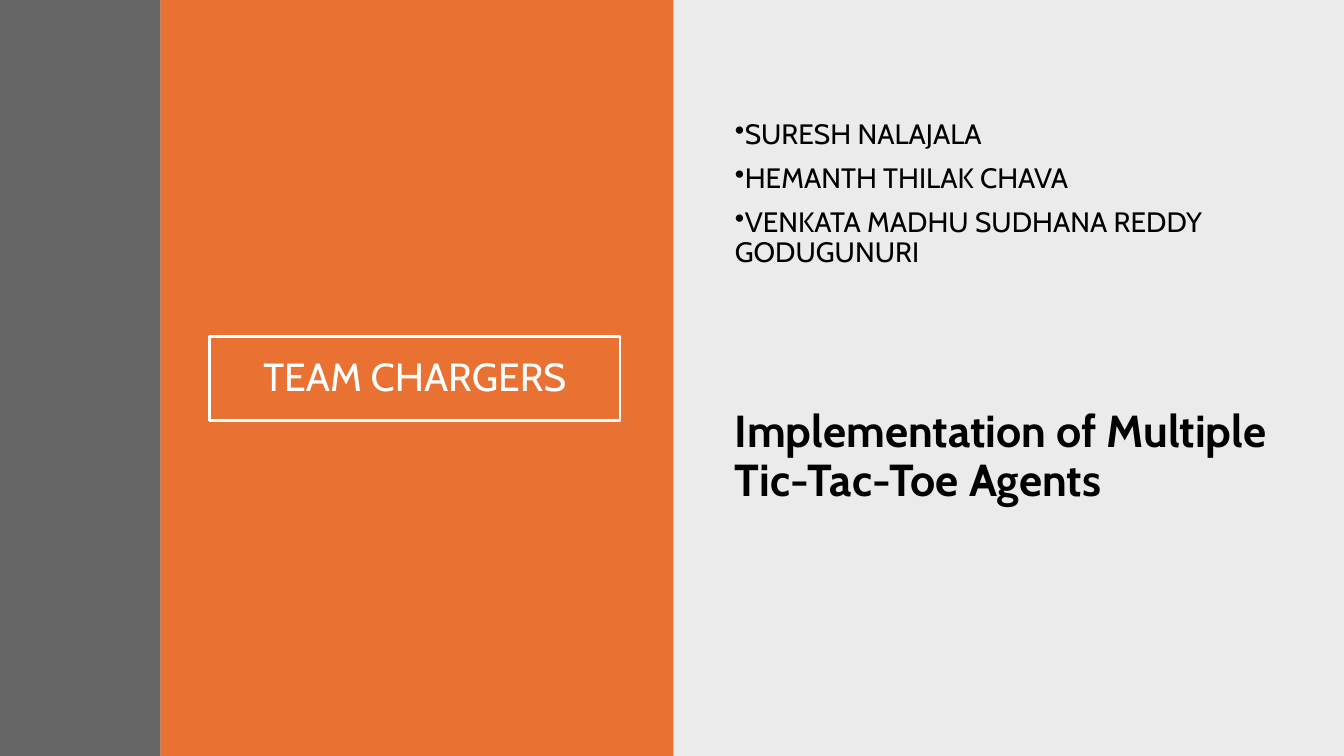
from pptx import Presentation
from pptx.dml.color import RGBColor
from pptx.enum.shapes import MSO_SHAPE as Preset
from pptx.enum.text import MSO_ANCHOR as Anchor, PP_ALIGN as Align
from pptx.oxml.xmlchemy import OxmlElement as element
from pptx.util import Inches, Pt

BLACK = RGBColor(0, 0, 0)
WHITE = RGBColor(255, 255, 255)
CHARCOAL = RGBColor(0x40, 0x40, 0x40)
ORANGE = RGBColor(0xE9, 0x71, 0x32)


class TeamSlide:
    """Draw elements on a grid of 100 columns by 100 rows in one style."""

    font_name = "Cabin"

    def __init__(self, deck):
        self.column = deck.slide_width / 100
        self.row = deck.slide_height / 100
        self.shapes = deck.slides.add_slide(deck.slide_layouts[6]).shapes

    def place(self, left, top, width, height):
        return (round(left * self.column), round(top * self.row),
                round(width * self.column), round(height * self.row))

    def rectangle(self, area):
        box = self.shapes.add_shape(Preset.RECTANGLE, *self.place(*area))
        box.shadow.inherit = False
        return box

    def panel(self, left, width, color, opacity=100):
        box = self.rectangle((left, 0, width, 100))
        box.fill.solid()
        box.fill.fore_color.rgb = color
        box.line.fill.background()
        if opacity < 100:
            alpha = element("a:alpha")
            alpha.set("val", str(opacity * 1000))
            box._element.spPr.eg_fillProperties[0].append(alpha)

    def frame(self, area, color, weight):
        box = self.rectangle(area)
        box.fill.background()
        box.line.color.rgb = color
        box.line.width = Pt(weight)
        box.text_frame.vertical_anchor = Anchor.MIDDLE
        return box

    def text_box(self, area):
        return self.shapes.add_textbox(*self.place(*area))

    def add_lines(self, box, lines, size, color, bold=False, bullet=None, **layout):
        frame = box.text_frame
        frame.word_wrap = True
        for index, line in enumerate(lines):
            para = frame.add_paragraph() if index else frame.paragraphs[0]
            for name, value in {"line_spacing": 0.9, **layout}.items():
                setattr(para, name, value)
            span = para.add_run()
            span.text = line
            for name, value in {"name": self.font_name, "size": Pt(size), "bold": bold}.items():
                setattr(span.font, name, value)
            span.font.color.rgb = color
            if bullet:
                self.mark(para, bullet)

    def mark(self, para, bullet):
        properties = para._p.get_or_add_pPr()
        properties.set("marL", "0")
        properties.set("indent", str(-Inches(0.25)))
        character = element("a:buChar")
        character.set("char", bullet)
        properties.append(character)


def main():
    deck = Presentation()
    deck.slide_width, deck.slide_height = Inches(13.33), Inches(7.5)
    slide = TeamSlide(deck)

    slide.panel(50, 50, BLACK, opacity=8)
    slide.panel(11.93, 38.17, ORANGE)
    title = slide.frame((15.6, 44.53, 30.53, 11.07), WHITE, 2)
    slide.add_lines(title, ["TEAM CHARGERS"], 28, WHITE, alignment=Align.CENTER)
    slide.panel(0, 11.93, CHARCOAL, opacity=80)

    members = slide.text_box((53.94, 9.33, 41.48, 37.2))
    members.text_frame.margin_top = Inches(0.49)
    slide.add_lines(members, ["SURESH NALAJALA", "HEMANTH THILAK CHAVA",
                              "VENKATA MADHU SUDHANA REDDY GODUGUNURI"],
                    20, BLACK, bullet="•", space_after=Pt(10))

    topic = slide.text_box((53.94, 53.47, 41.48, 21.6))
    slide.add_lines(topic, ["Implementation of Multiple Tic-Tac-Toe Agents"],
                    32, BLACK, bold=True, space_after=Pt(6))
    deck.save("out.pptx")


if __name__ == "__main__":
    main()
